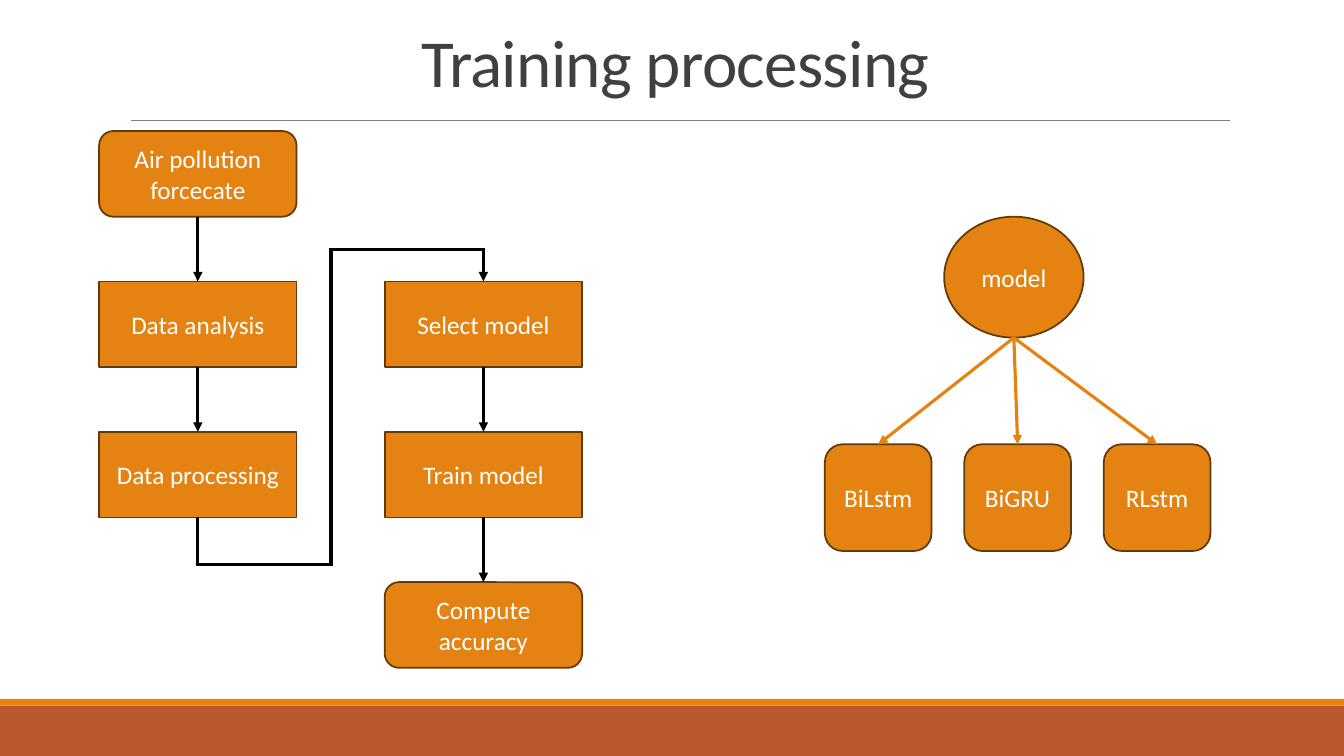
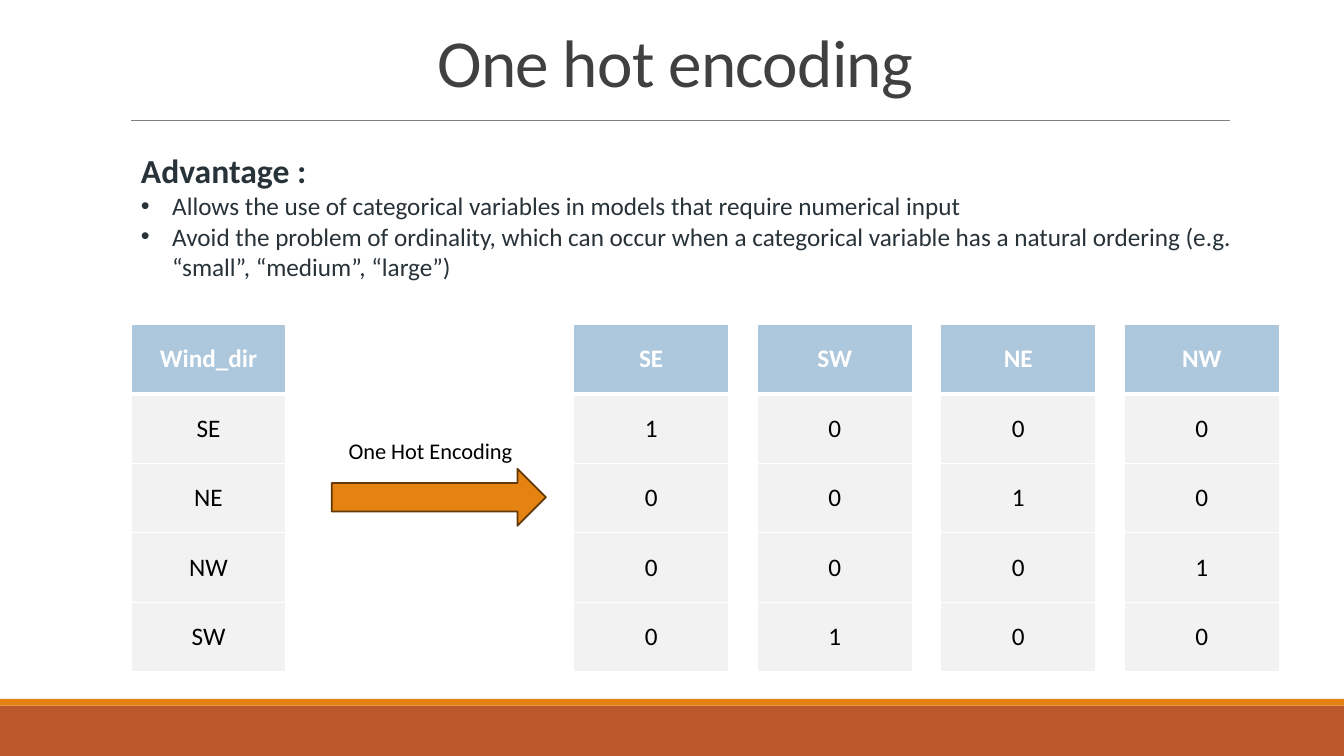
"""Build two slides: a model training flow and a one hot encoding example."""
from dataclasses import dataclass
from itertools import pairwise

from lxml import etree
from pptx import Presentation
from pptx.dml.color import RGBColor
from pptx.enum.shapes import MSO_CONNECTOR, MSO_SHAPE
from pptx.enum.text import MSO_ANCHOR, PP_ALIGN
from pptx.oxml.ns import qn
from pptx.util import Inches, Pt

RECT = MSO_SHAPE.RECTANGLE
ROUNDED = MSO_SHAPE.ROUNDED_RECTANGLE
OVAL = MSO_SHAPE.OVAL
RIGHT_ARROW = MSO_SHAPE.RIGHT_ARROW
STRAIGHT = MSO_CONNECTOR.STRAIGHT
CENTER, LEFT = PP_ALIGN.CENTER, PP_ALIGN.LEFT
TOP, MIDDLE, BOTTOM = MSO_ANCHOR.TOP, MSO_ANCHOR.MIDDLE, MSO_ANCHOR.BOTTOM
TOP_SIDE, BOTTOM_SIDE = 0, 2
WIDTH, HEIGHT = Inches(13.33), Inches(7.5)
COLUMNS, ROWS = 160, 90


@dataclass(frozen=True)
class Theme:
    font: str = "Calibri"
    accent: str = "E48312"
    outline: str = "643908"
    band: str = "BD582C"
    rule: str = "808080"
    title: str = "404040"
    body: str = "273239"
    header: str = "ADC8DD"
    cell: str = "F2F2F2"
    black: str = "000000"
    white: str = "FFFFFF"
    title_size: int = 48
    heading_size: int = 24
    text_size: int = 18
    label_size: int = 16
    rule_width: float = 0.5
    outline_width: float = 1.25
    link_width: float = 2.25
    cell_border: int = 1
    header_border: int = 3


class Deck:
    def __init__(self, theme):
        self.theme = theme
        self.deck = Presentation()
        self.deck.slide_width, self.deck.slide_height = WIDTH, HEIGHT
        self.slide = None

    def place(self, *lengths):
        units = (WIDTH / COLUMNS, HEIGHT / ROWS) * 2
        return [round(length * unit) for length, unit in zip(lengths, units)]

    def new_slide(self, title):
        theme = self.theme
        self.slide = self.deck.slides.add_slide(self.deck.slide_layouts[6])
        self.shape(RECT, (0, 84, COLUMNS, 6), theme.band)
        self.shape(RECT, (0, 83.2, COLUMNS, 0.8), theme.accent)
        self.line((15.6, 14.3), (146.4, 14.3), theme.rule, theme.rule_width)
        heading = self.text((14.4, 1.3, 132, 11.3), [title], theme.title_size,
                            theme.title, CENTER, BOTTOM)
        paragraph = heading.paragraphs[0]
        paragraph.line_spacing = 0.85
        paragraph.runs[0].font._element.set("spc", "-50")

    def styled_run(self, paragraph, text, size, color, align=CENTER, bold=False):
        paragraph.alignment = align
        run = paragraph.add_run()
        run.text = text
        run.font.color.rgb = RGBColor.from_string(color)
        formats = {"name": self.theme.font, "size": Pt(size), "bold": bold}
        for key, value in formats.items():
            setattr(run.font, key, value)

    def text(self, area, lines, size, color, align=LEFT, anchor=TOP):
        frame = self.slide.shapes.add_textbox(*self.place(*area)).text_frame
        frame.word_wrap = True
        frame.vertical_anchor = anchor
        for index, line in enumerate(lines):
            paragraph = frame.add_paragraph() if index else frame.paragraphs[0]
            self.styled_run(paragraph, line, size, color, align)
        return frame

    def bullets(self, area, heading, points):
        theme = self.theme
        frame = self.text(area, [heading, *points], theme.text_size, theme.body)
        first, *rest = frame.paragraphs
        first.runs[0].font.size = Pt(theme.heading_size)
        first.runs[0].font.bold = True
        indent = Inches(0.31)
        for paragraph in rest:
            properties = paragraph._p.get_or_add_pPr()
            properties.set("marL", str(indent))
            properties.set("indent", str(-indent))
            etree.SubElement(properties, qn("a:buFont"), typeface="Arial")
            etree.SubElement(properties, qn("a:buChar"), char="•")

    def shape(self, kind, area, fill, outline=None, label=None):
        theme = self.theme
        shape = self.slide.shapes.add_shape(kind, *self.place(*area))
        shape.shadow.inherit = False
        shape.fill.solid()
        shape.fill.fore_color.rgb = RGBColor.from_string(fill)
        if outline:
            shape.line.color.rgb = RGBColor.from_string(outline)
            shape.line.width = Pt(theme.outline_width)
        else:
            shape.line.fill.background()
        if label:
            frame = shape.text_frame
            frame.word_wrap = True
            frame.vertical_anchor = MIDDLE
            self.styled_run(frame.paragraphs[0], label, theme.text_size, theme.white)
        return shape

    def node(self, kind, area, label=None):
        return self.shape(kind, area, self.theme.accent, self.theme.outline, label)

    def line(self, start, end, color, width, arrow=False):
        link = self.slide.shapes.add_connector(STRAIGHT, *self.place(*start, *end))
        link.line.color.rgb = RGBColor.from_string(color)
        link.line.width = Pt(width)
        if arrow:
            etree.SubElement(link.line._get_or_add_ln(), qn("a:tailEnd"), type="triangle")
        etree.SubElement(link._element.spPr, qn("a:effectLst"))
        return link

    def route(self, points, color, source=None, target=None):
        legs = list(pairwise(points))
        links = [self.line(start, end, color, self.theme.link_width,
                           arrow=number == len(legs))
                 for number, (start, end) in enumerate(legs, 1)]
        for link in links[1:-1]:
            link.line._get_or_add_ln().set("cap", "sq")
        if source:
            links[0].begin_connect(source, BOTTOM_SIDE)
        if target:
            links[-1].end_connect(target, TOP_SIDE)

    def column_table(self, area, header, values):
        theme = self.theme
        table = self.slide.shapes.add_table(len(values) + 1, 1, *self.place(*area)).table
        for row, value in enumerate([header, *values]):
            is_header = row == 0
            cell = table.cell(row, 0)
            borders = {"L": theme.cell_border, "R": theme.cell_border,
                       "T": theme.header_border if row == 1 else theme.cell_border,
                       "B": theme.header_border if is_header else theme.cell_border}
            properties = cell._tc.get_or_add_tcPr()
            for side, width in borders.items():
                border = etree.SubElement(properties, qn(f"a:ln{side}"), w=str(Pt(width)))
                paint = etree.SubElement(border, qn("a:solidFill"))
                etree.SubElement(paint, qn("a:srgbClr"), val=theme.white)
            cell.fill.solid()
            cell.fill.fore_color.rgb = RGBColor.from_string(
                theme.header if is_header else theme.cell)
            cell.vertical_anchor = MIDDLE
            self.styled_run(cell.text_frame.paragraphs[0], value, theme.text_size,
                            theme.white if is_header else theme.black, bold=is_header)


def training_slide(deck):
    theme = deck.theme
    deck.new_slide("Training processing")
    lefts, top, pitch, width, height = (11.8, 45.8), 15.6, 17.9, 23.5, 10.2
    steps = [
        ("Air pollution forcecate", ROUNDED, 0, 0),
        ("Data analysis", RECT, 0, 1),
        ("Data processing", RECT, 0, 2),
        ("Select model", RECT, 1, 1),
        ("Train model", RECT, 1, 2),
        ("Compute accuracy", ROUNDED, 1, 3),
    ]
    boxes, centers = [], []
    for label, kind, column, row in steps:
        left, step_top = lefts[column], top + row * pitch
        boxes.append(deck.node(kind, (left, step_top, width, height), label))
        centers.append((left + width / 2, step_top))
    turn_x, low_y, high_y = 39.4, 67.2, 29.7
    for index, ((x, y), (next_x, next_y)) in enumerate(pairwise(centers)):
        bends = []
        if x != next_x:
            bends = [(x, low_y), (turn_x, low_y), (turn_x, high_y), (next_x, high_y)]
        deck.route([(x, y + height), *bends, (next_x, next_y)], theme.black,
                   boxes[index], boxes[index + 1])

    deck.node(OVAL, (112.4, 25.8, 16.6, 14.4), "model")
    root = (120.7, 40.2)
    first_left, variant_pitch, variant_top, side = 98.2, 16.6, 52.9, 12.7
    for index, variant in enumerate(["BiLstm", "BiGRU", "RLstm"]):
        left = first_left + index * variant_pitch
        box = deck.node(ROUNDED, (left, variant_top, side, side), variant)
        deck.route([root, (left + side / 2, variant_top)], theme.accent, target=box)


def encoding_slide(deck):
    theme = deck.theme
    deck.new_slide("One hot encoding")
    top, width, height = 38.65, 18.45, 41.3
    first_left, pitch = 68.3, 21.85
    directions = ["SE", "NE", "NW", "SW"]
    deck.column_table((15.6, top, width, height), "Wind_dir", directions)
    for index, category in enumerate(["SE", "SW", "NE", "NW"]):
        flags = [str(int(direction == category)) for direction in directions]
        deck.column_table((first_left + index * pitch, top, width, height),
                          category, flags)
    deck.node(RIGHT_ARROW, (39.5, 55.8, 25.5, 6.8))
    deck.text((38.5, 51.4, 25.5, 4.4), ["One Hot Encoding"], theme.label_size,
              theme.black, CENTER)
    deck.bullets((15.6, 17.3, 133.4, 16.9), "Advantage :", [
        "Allows the use of categorical variables in models that require numerical input",
        "Avoid the problem of ordinality, which can occur when a categorical variable "
        "has a natural ordering (e.g. “small”, “medium”, “large”)",
    ])


def main():
    deck = Deck(Theme())
    training_slide(deck)
    encoding_slide(deck)
    deck.deck.save("out.pptx")


if __name__ == "__main__":
    main()
